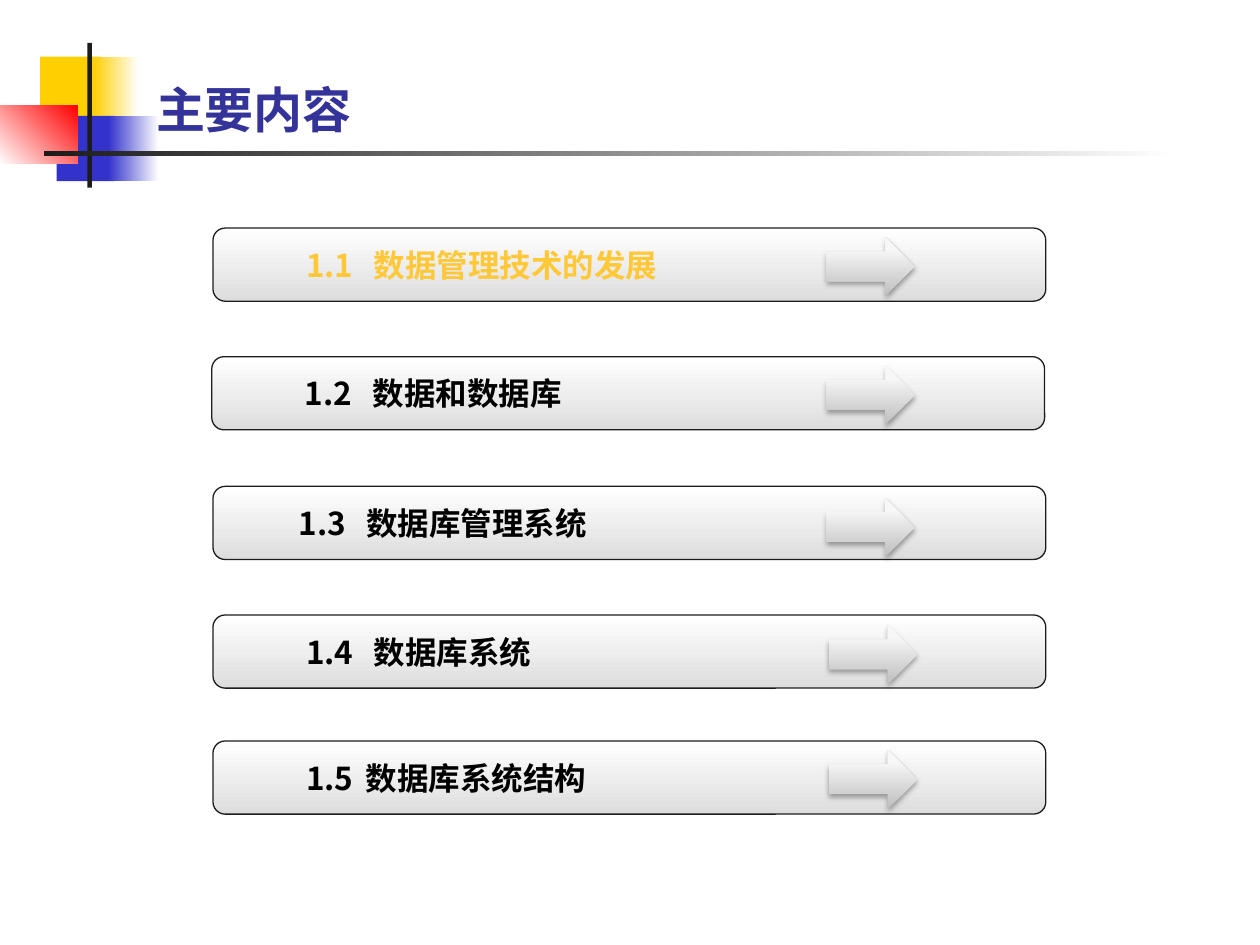
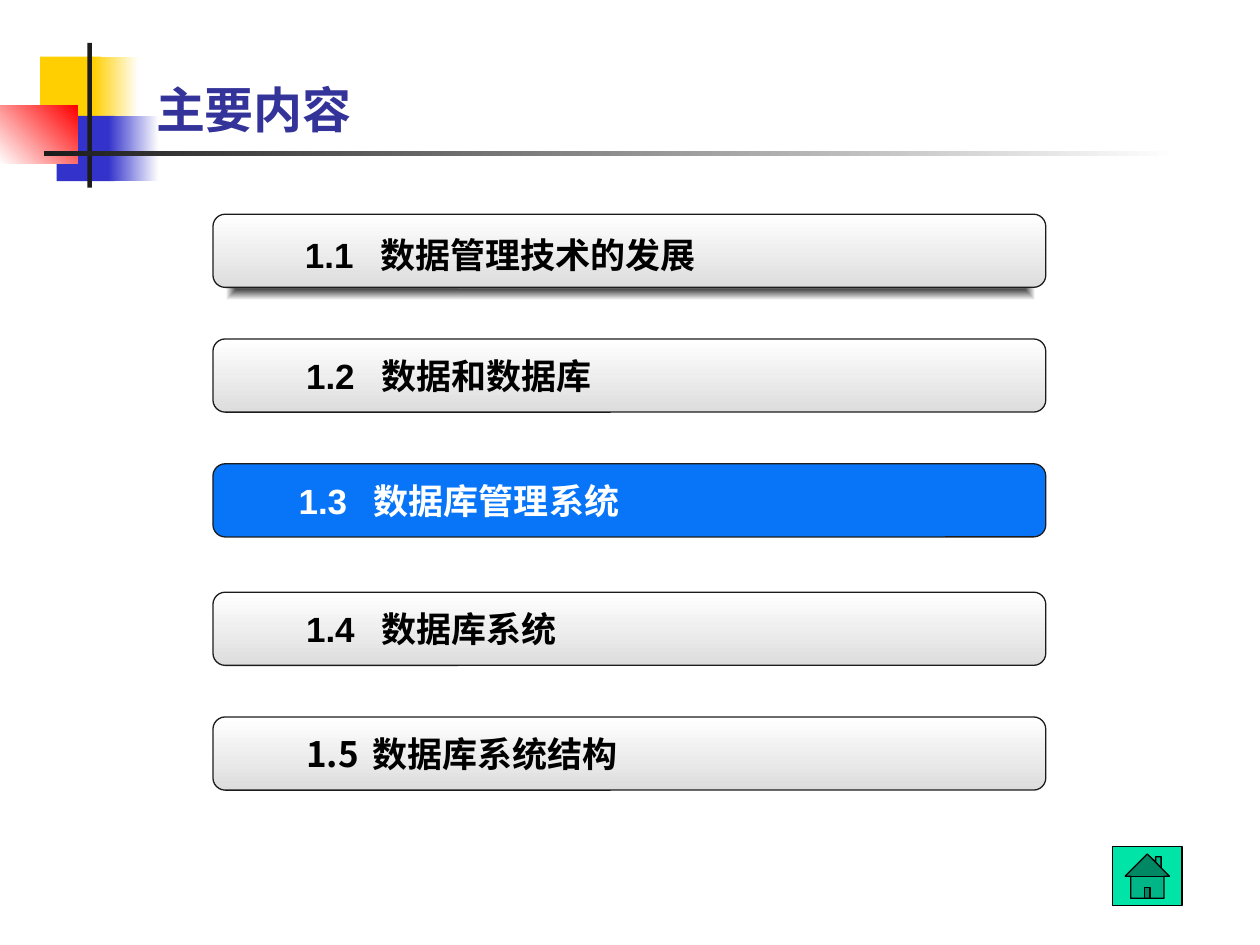
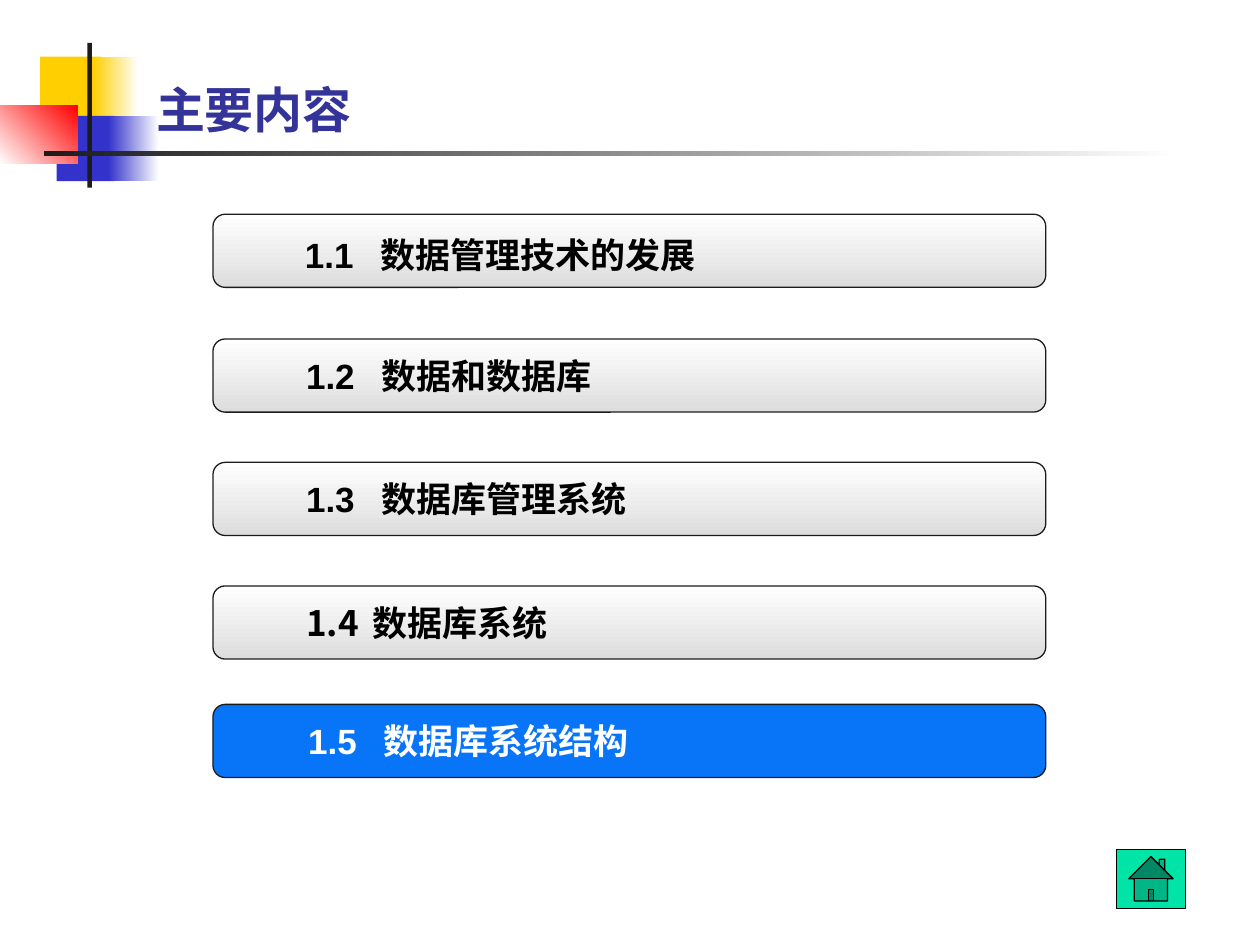
from dataclasses import dataclass

from lxml import etree
from pptx import Presentation
from pptx import util as u
from pptx.dml.color import RGBColor
from pptx.enum import shapes, text
from pptx.oxml.ns import qn

COLORS = {
    "yellow": "FFCF01", "blue": "3333CC", "red": "FF0000", "white": "FFFFFF",
    "dark": "1C1C1C", "title": "333399", "silver": "DDDDDD", "active": "0875F8",
    "gold": "FFC838", "black": "000000", "home": "00E4A8",
    "arrow_low": "BEBEBE", "arrow_mid": "F7F7F7", "arrow_high": "F8F8F8",
}
CJK = "Noto Sans CJK SC"
BAR_X, BAR_W, BAR_H = 121.7, 475.9, 41.8
WIDE, NARROW = 2.15, 1.9
KIND = shapes.MSO_SHAPE


@dataclass
class Row:
    number: str
    title: str
    top: float
    indent: float = 47.5
    gap: float = WIDE
    font: str = "Arial"
    color: str = "black"
    active: bool = False
    dx: float = 0
    label_dy: float = 0


def rgb(name):
    return RGBColor.from_string(COLORS[name])


def child(parent, tag, **attrs):
    return etree.SubElement(parent, qn(tag), {k: str(v) for k, v in attrs.items()})


def color_node(parent, name, alpha=100):
    node = child(parent, "a:srgbClr", val=COLORS[name])
    if alpha < 100:
        child(node, "a:alpha", val=alpha * 1000)


def gradient(sp, stops, angle=None):
    sp.fill.gradient()
    grad = sp.element.spPr.find(qn("a:gradFill"))
    for node in list(grad):
        grad.remove(node)
    gs_list = child(grad, "a:gsLst")
    for pos, name, *alpha in stops:
        color_node(child(gs_list, "a:gs", pos=pos * 1000), name, *alpha)
    if angle is None:
        path_node = child(grad, "a:path", path="shape")
        child(path_node, "a:fillToRect", l=50000, t=50000, r=50000, b=50000)
    else:
        child(grad, "a:lin", ang=angle * 60000, scaled=0)


def add_box(slide, kind, x, y, w, h, fill=None, line=None):
    sp = slide.shapes.add_shape(kind, u.Pt(x), u.Pt(y), u.Pt(w), u.Pt(h))
    sp.shadow.inherit = False
    if fill:
        sp.fill.solid()
        sp.fill.fore_color.rgb = rgb(fill)
    if line:
        sp.line.color.rgb = rgb(line)
        sp.line.width = u.Pt(0.75)
    else:
        sp.line.fill.background()
    return sp


def add_fade(slide, x, y, w, h, start, end, angle=0):
    sp = add_box(slide, KIND.RECTANGLE, x, y, w, h)
    gradient(sp, [(0, start), (100, end)], angle)


def add_text(slide, x, y, w, h, content, size, font, color, anchor):
    sp = slide.shapes.add_textbox(u.Pt(x), u.Pt(y), u.Pt(w), u.Pt(h))
    tf = sp.text_frame
    tf.word_wrap = True
    tf.vertical_anchor = anchor
    p = tf.paragraphs[0]
    p.text = content
    r = p.runs[0]
    r.font.size = u.Pt(size)
    r.font.bold = True
    r.font.name = font
    r.font.color.rgb = rgb(color)
    child(r.font._element, "a:ea", typeface=CJK)
    return tf


def add_frame(slide):
    add_box(slide, KIND.RECTANGLE, 23, 32.4, 34.6, 37.4, "yellow")
    add_fade(slide, 53.3, 32.4, 25.9, 37.4, "yellow", "white")
    add_box(slide, KIND.RECTANGLE, 32.4, 66.2, 33.1, 37.4, "blue")
    add_fade(slide, 61.9, 66.2, 28.8, 37.4, "blue", "white")
    add_fade(slide, 0, 60.5, 44.3, 33.1, "white", "red", 315)
    add_box(slide, KIND.RECTANGLE, 49.9, 24.5, 2.6, 82.8, "dark")
    add_fade(slide, 25.2, 86.4, 648, 2.9, "dark", "white")
    add_text(slide, 82.1, 9.4, 625, 73.4, "主要内容", 28, "Times New Roman",
             "title", text.MSO_ANCHOR.BOTTOM)


def add_row(slide, row, size):
    x = BAR_X + row.dx
    bar = add_box(slide, KIND.ROUNDED_RECTANGLE, x, row.top, BAR_W, BAR_H,
                  "active" if row.active else None, "dark")
    bar.adjustments[0] = 0.167
    if not row.active:
        gradient(bar, [(0, "white"), (100, "silver")], 90)
    tf = add_text(slide, x + 5.7, row.top + row.label_dy, 425.5, BAR_H,
                  f"{row.number}\t{row.title}", size, row.font,
                  "white" if row.active else row.color, text.MSO_ANCHOR.MIDDLE)
    tf.margin_left = u.Pt(row.indent)
    tabs = child(tf.paragraphs[0]._p.get_or_add_pPr(), "a:tabLst")
    child(tabs, "a:tab", pos=int(u.Pt(row.gap * size)), algn="l")


def add_arrow(slide, x, y):
    sp = add_box(slide, KIND.RIGHT_ARROW, x, y, 50.4, 33.8)
    gradient(sp, [(0, "arrow_low"), (80, "arrow_mid"), (100, "arrow_high")], 270)
    effects = sp.element.spPr.find(qn("a:effectLst"))
    shadow = child(effects, "a:outerShdw", blurRad=int(u.Pt(3.1)),
                   dist=int(u.Pt(1.8)), dir=90 * 60000, rotWithShape=0)
    color_node(shadow, "black", 35)


def add_bar_shadow(slide):
    sp = add_box(slide, KIND.RECTANGLE, 129.6, 159.8, 461.5, 11.5)
    gradient(sp, [(0, "black", 70), (100, "black", 0)])


def add_home(slide, x, y):
    add_box(slide, KIND.ACTION_BUTTON_HOME, x, y, 39.6, 33.8, "home", "black")


def add_agenda(prs, rows, size, arrows=(), home=None, bar_shadow=False):
    slide = prs.slides.add_slide(prs.slide_layouts[6])
    add_frame(slide)
    if bar_shadow:
        add_bar_shadow(slide)
    for row in rows:
        add_row(slide, row, size)
    for x, y in arrows:
        add_arrow(slide, x, y)
    if home:
        add_home(slide, *home)


def main():
    prs = Presentation()
    prs.slide_width, prs.slide_height = u.Pt(720), u.Pt(540)
    history, data, dbms, system, structure = (
        ("1.1", "数据管理技术的发展"), ("1.2", "数据和数据库"),
        ("1.3", "数据库管理系统"), ("1.4", "数据库系统"),
        ("1.5", "数据库系统结构"))
    opening = [
        Row(*history, 130.3, font=CJK, color="gold"),
        Row(*data, 203.8, font=CJK, dx=-0.7),
        Row(*dbms, 277.9, 43.2, font=CJK),
        Row(*system, 351.4, font=CJK),
        Row(*structure, 423.4, gap=NARROW, font=CJK),
    ]
    first_two = [Row(*history, 122.4, 46.8, label_dy=2.2), Row(*data, 193.7)]
    third_active = first_two + [
        Row(*dbms, 265, 43.2, active=True),
        Row(*system, 338.4),
        Row(*structure, 409.7, gap=NARROW, font=CJK),
    ]
    fifth_active = first_two + [
        Row(*dbms, 264.2),
        Row(*system, 334.8, gap=NARROW, font=CJK),
        Row(*structure, 402.5, 48.7, active=True),
    ]
    arrows = [(472.3, 135.4), (472.3, 208.8), (472.3, 284.4),
              (473.8, 357.1), (473.8, 428.4)]
    add_agenda(prs, opening, 18, arrows)
    add_agenda(prs, third_active, 20, home=(635.8, 483.8), bar_shadow=True)
    add_agenda(prs, fifth_active, 20, home=(637.9, 485.3))
    prs.save("out.pptx")


if __name__ == "__main__":
    main()
